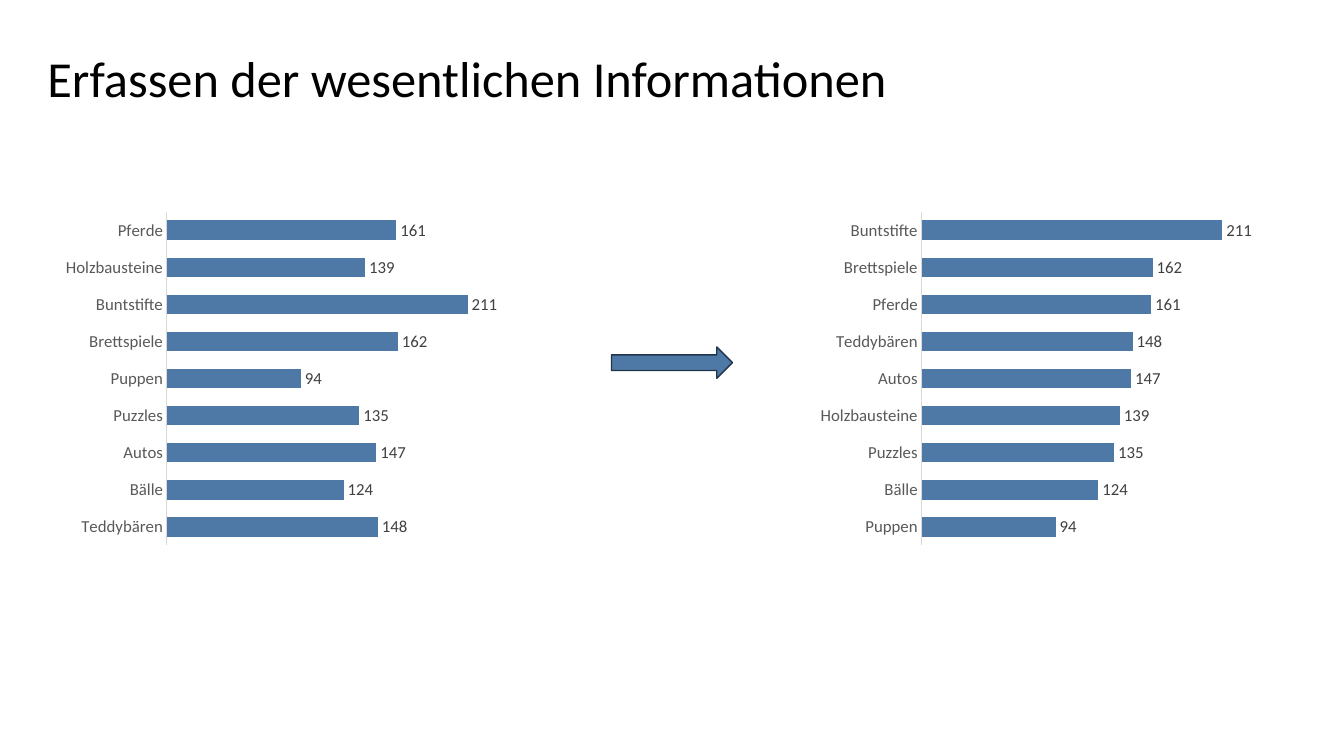
import pptx
import pptx.util
import pptx.dml.color
import pptx.chart.data
import pptx.enum.chart
import pptx.enum.shapes
import pptx.enum.text
from dataclasses import dataclass

Cm = pptx.util.Cm
Pt = pptx.util.Pt
Chart = pptx.enum.chart

TITLE = "Erfassen der wesentlichen Informationen"
TOYS = [
    ("Teddybären", 148),
    ("Bälle", 124),
    ("Autos", 147),
    ("Puzzles", 135),
    ("Puppen", 94),
    ("Brettspiele", 162),
    ("Buntstifte", 211),
    ("Holzbausteine", 139),
    ("Pferde", 161),
]


@dataclass(frozen=True)
class Theme:
    face: str = "Calibri"
    paper: str = "FFFFFF"
    ink: str = "000000"
    bar: str = "4E79A7"
    edge: str = "223549"
    axis: str = "D9D9D9"
    name: str = "595959"
    value: str = "404040"
    head: int = 36
    base: int = 10
    label: int = 12


theme = Theme()
WIDE, HIGH = 33.87, 19.05
PLOT_W, PLOT_H = 12.01, 8.76
PLOT_X, PLOT_Y = 1.42, 5.16
ARROW_W, ARROW_H = 3.05, 0.79


def rgb(code):
    return pptx.dml.color.RGBColor.from_string(code)


def style(font, size, color):
    font.name = theme.face
    font.size = Pt(size)
    font.color.rgb = rgb(color)


def write(frame, text, size=theme.head, color=theme.ink, space=0.9,
          anchor=pptx.enum.text.MSO_ANCHOR.MIDDLE):
    frame.word_wrap = True
    frame.vertical_anchor = anchor
    para = frame.paragraphs[0]
    para.alignment = pptx.enum.text.PP_ALIGN.LEFT
    para.line_spacing = space
    run = para.add_run()
    run.text = text
    style(run.font, size, color)


def fill(shape, color):
    shape.fill.solid()
    shape.fill.fore_color.rgb = rgb(color)


def bars(slide, rows, left):
    data = pptx.chart.data.CategoryChartData()
    data.categories = [toy for toy, count in rows]
    data.add_series("Series 1", [count for toy, count in rows])
    chart = slide.shapes.add_chart(
        Chart.XL_CHART_TYPE.BAR_CLUSTERED,
        Cm(left), Cm(PLOT_Y), Cm(PLOT_W), Cm(PLOT_H), data).chart
    chart.has_legend = False
    chart.has_title = False
    style(chart.font, theme.base, theme.ink)

    names = chart.category_axis
    names.major_tick_mark = Chart.XL_TICK_MARK.NONE
    names.format.line.color.rgb = rgb(theme.axis)
    names.format.line.width = Pt(0.75)
    style(names.tick_labels.font, theme.label, theme.name)

    scale = chart.value_axis
    scale.visible = False
    scale.has_major_gridlines = False
    scale.minimum_scale = 0
    scale.maximum_scale = 250

    plot = chart.plots[0]
    plot.gap_width = 90
    plot.vary_by_categories = False
    fill(plot.series[0].format, theme.bar)
    plot.has_data_labels = True
    labels = plot.data_labels
    labels.show_value = True
    labels.position = Chart.XL_LABEL_POSITION.OUTSIDE_END
    style(labels.font, theme.label, theme.value)


def arrow(slide):
    mid = PLOT_Y + PLOT_H / 2
    shape = slide.shapes.add_shape(
        pptx.enum.shapes.MSO_SHAPE.RIGHT_ARROW,
        Cm((WIDE - ARROW_W) / 2), Cm(mid - 0.4 - ARROW_H / 2),
        Cm(ARROW_W), Cm(ARROW_H))
    shape.shadow.inherit = False
    fill(shape, theme.bar)
    shape.line.color.rgb = rgb(theme.edge)
    shape.line.width = Pt(1)


def main():
    deck = pptx.Presentation()
    deck.slide_width, deck.slide_height = Cm(WIDE), Cm(HIGH)
    slide = deck.slides.add_slide(deck.slide_layouts[5])
    title = slide.shapes.title
    title.left, title.top = Cm(0.94), Cm(1.14)
    title.width, title.height = Cm(32), Cm(1.83)
    fill(title, theme.paper)
    write(title.text_frame, TITLE)

    ranked = sorted(TOYS, key=lambda row: row[1])
    bars(slide, TOYS, PLOT_X)
    bars(slide, ranked, WIDE - PLOT_X - PLOT_W)
    arrow(slide)
    deck.save("out.pptx")


if __name__ == "__main__":
    main()
